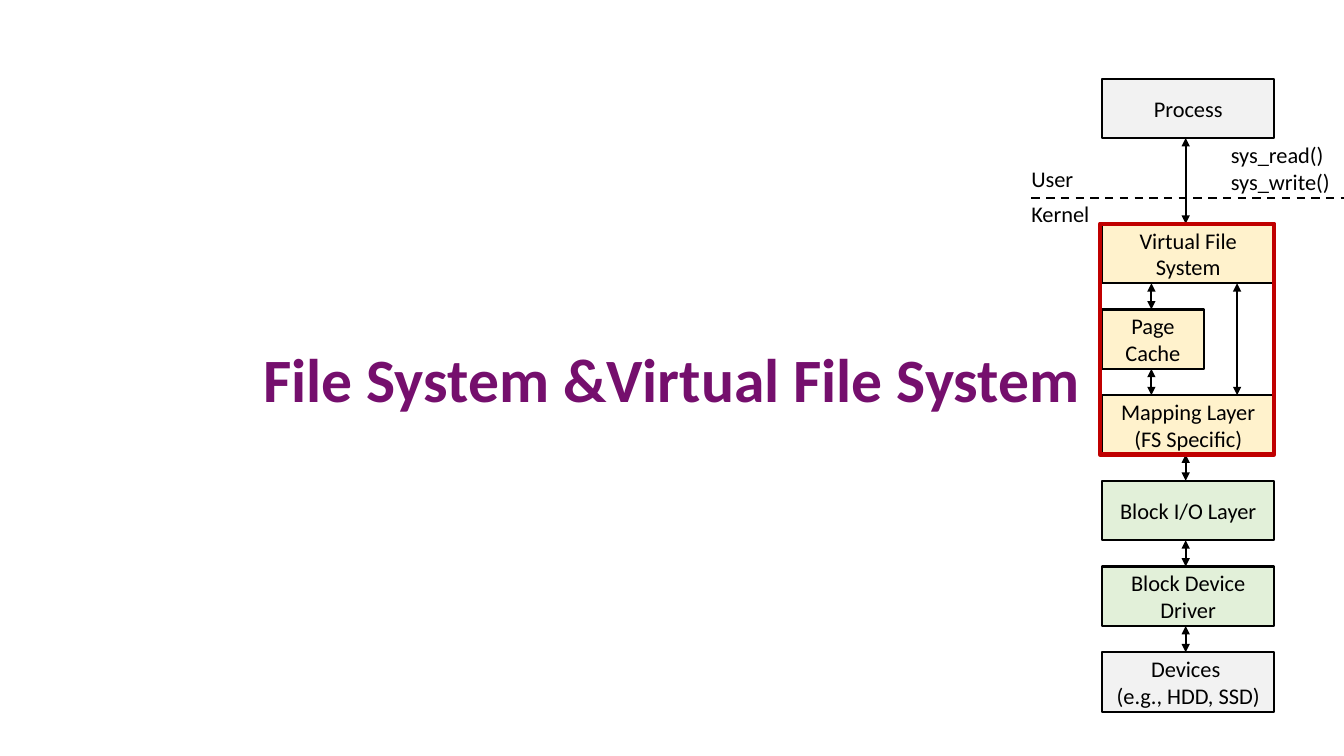
from lxml.etree import SubElement
from pptx import Presentation
from pptx.dml.color import RGBColor
from pptx.enum.dml import MSO_LINE
from pptx.enum.shapes import MSO_CONNECTOR, MSO_SHAPE
from pptx.enum.text import MSO_ANCHOR, MSO_AUTO_SIZE, PP_ALIGN
from pptx.oxml.ns import qn
from pptx.util import Emu, Pt

# Content
COLORS = {
    "black": "000000",
    "title": "750F6D",
    "gray": "F2F2F2",
    "yellow": "FFF2CC",
    "green": "E2F0D9",
    "red": "C00000",
}
TITLE = "File System &Virtual File System"
PROCESS = ("Process", "gray")
# Kernel stack from top to bottom; "\v" is a line break, "\n" a new paragraph
LAYERS = [
    ("Virtual File System", "yellow"),
    ("Page Cache", "yellow"),
    ("Mapping Layer\v(FS Specific)", "yellow"),
    ("Block I/O Layer", "green"),
    ("Block Device Driver", "green"),
    ("Devices \n(e.g., HDD, SSD)", "gray"),
]
# text, left, top, width, height
LABELS = [
    ("User", 1013, 159, 62, 37),
    ("Kernel", 1013, 194, 79, 37),
    ("sys_read()\nsys_write()", 1211, 135, 120, 64),
]

# Layout, 100 px to the inch
PX = 9144
SLIDE_WIDTH, SLIDE_HEIGHT = 1333, 750
BOX_LEFT, BOX_WIDTH, CACHE_WIDTH, BOX_HEIGHT = 1093, 171, 101, 59
PROCESS_TOP, STACK_TOP, PITCH = 78, 222, 85
MAIN_X, CACHE_X, BYPASS_X = 1176, 1142, 1227
CACHE_ROW, MAPPING_ROW = 1, 2
BOUNDARY_LEFT, BOUNDARY_Y = 1023, 196
TITLE_BOX = (69, 270, 1195, 210)

BODY_FONT = {"name": "Calibri", "size": Pt(16), "bold": False}
TITLE_FONT = {"name": "Calibri", "size": Pt(44), "bold": True}


def px(*lengths):
    return [Emu(length * PX) for length in lengths]


def color(name):
    return RGBColor.from_string(COLORS[name])


def write(shape, text, font, ink="black", align=PP_ALIGN.LEFT):
    shape.text_frame.text = text
    for paragraph in shape.text_frame.paragraphs:
        paragraph.alignment = align
        for run in paragraph.runs:
            for attribute, value in font.items():
                setattr(run.font, attribute, value)
            run.font.color.rgb = color(ink)


def add_rectangle(left, top, width, height, fill=None, line="black", weight=1.5):
    shape = slide.shapes.add_shape(MSO_SHAPE.RECTANGLE, *px(left, top, width, height))
    shape.shadow.inherit = False
    if fill:
        shape.fill.solid()
        shape.fill.fore_color.rgb = color(fill)
    else:
        shape.fill.background()
    shape.line.color.rgb = color(line)
    shape.line.width = Pt(weight)
    return shape


def add_box(text, fill, top, width=BOX_WIDTH):
    shape = add_rectangle(BOX_LEFT, top, width, BOX_HEIGHT, fill)
    shape.text_frame.word_wrap = True
    shape.text_frame.vertical_anchor = MSO_ANCHOR.MIDDLE
    write(shape, text, BODY_FONT, align=PP_ALIGN.CENTER)


def add_line(x1, y1, x2, y2):
    connector = slide.shapes.add_connector(MSO_CONNECTOR.STRAIGHT, *px(x1, y1, x2, y2))
    connector.line.color.rgb = color("black")
    connector.line.width = Pt(1.5)
    SubElement(connector._element.spPr, qn("a:effectLst"))
    return connector


def add_double_arrow(x, top, bottom):
    line = add_line(x, top, x, bottom).line
    for end in ("a:headEnd", "a:tailEnd"):
        SubElement(line._get_or_add_ln(), qn(end), type="triangle")


presentation = Presentation()
presentation.slide_width, presentation.slide_height = px(SLIDE_WIDTH, SLIDE_HEIGHT)
slide = presentation.slides.add_slide(presentation.slide_layouts[6])

# Title
title = slide.shapes.add_textbox(*px(*TITLE_BOX))
title.text_frame.word_wrap = True
title.text_frame.vertical_anchor = MSO_ANCHOR.MIDDLE
write(title, TITLE, TITLE_FONT, "title", PP_ALIGN.CENTER)

# Process and kernel layers
tops = [STACK_TOP + PITCH * row for row in range(len(LAYERS))]
add_box(*PROCESS, PROCESS_TOP)
for row, ((text, fill), top) in enumerate(zip(LAYERS, tops)):
    add_box(text, fill, top, CACHE_WIDTH if row == CACHE_ROW else BOX_WIDTH)

# User and kernel boundary
boundary = add_line(BOUNDARY_LEFT, BOUNDARY_Y, SLIDE_WIDTH, BOUNDARY_Y)
boundary.line.dash_style = MSO_LINE.DASH
for text, *place in LABELS:
    label = slide.shapes.add_textbox(*px(*place))
    label.text_frame.word_wrap = False
    label.text_frame.auto_size = MSO_AUTO_SIZE.SHAPE_TO_FIT_TEXT
    write(label, text, BODY_FONT)

# Arrows between neighbours, and the one that bypasses the cache
add_double_arrow(MAIN_X, PROCESS_TOP + BOX_HEIGHT, STACK_TOP)
add_double_arrow(BYPASS_X, STACK_TOP + BOX_HEIGHT, tops[MAPPING_ROW])
for row, (upper, lower) in enumerate(zip(tops, tops[1:])):
    add_double_arrow(CACHE_X if row < MAPPING_ROW else MAIN_X, upper + BOX_HEIGHT, lower)

# Frame around the file system layers
frame_height = tops[MAPPING_ROW] + BOX_HEIGHT - STACK_TOP
add_rectangle(BOX_LEFT - 2, STACK_TOP, BOX_WIDTH + 2, frame_height, line="red", weight=3)

presentation.save("out.pptx")
